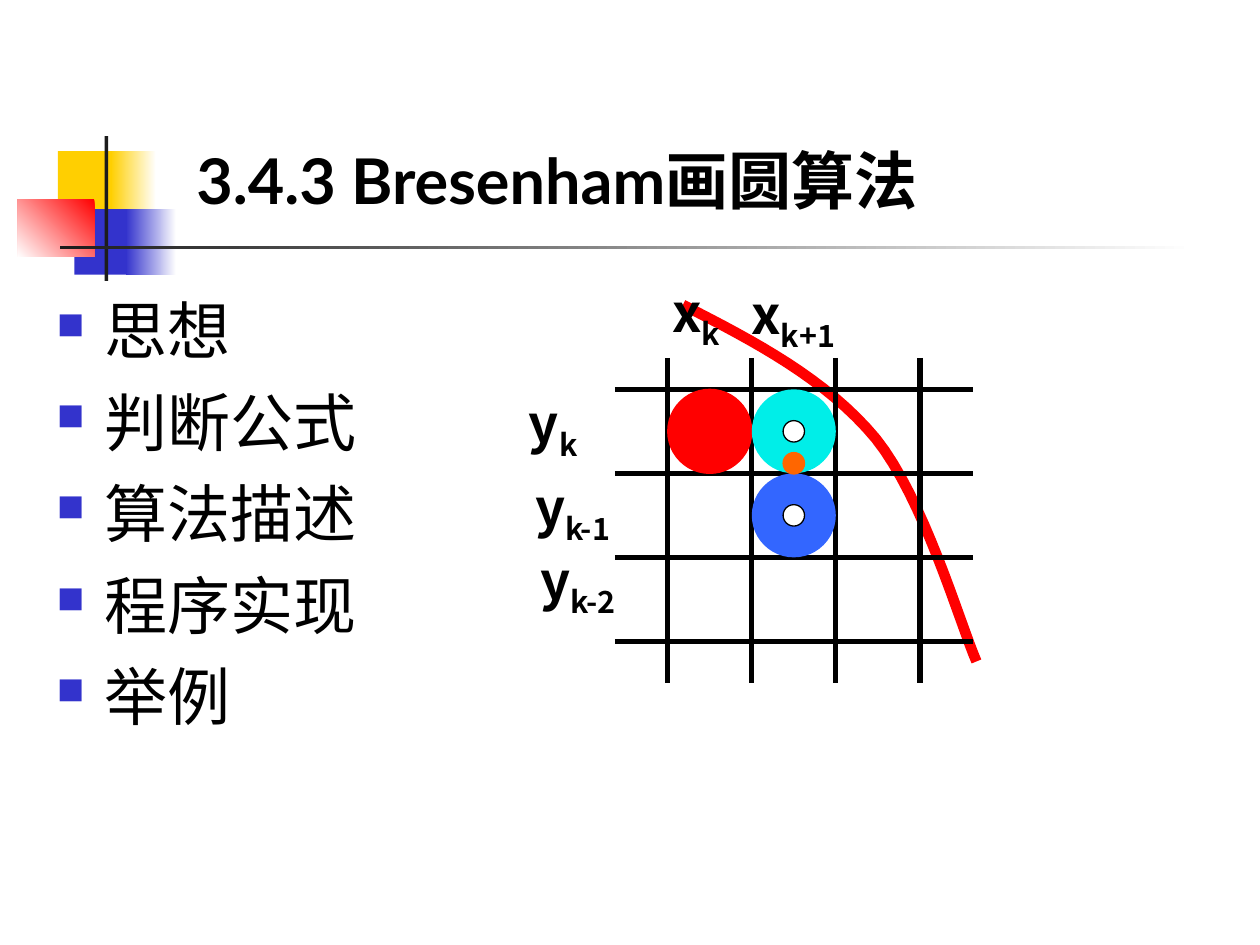
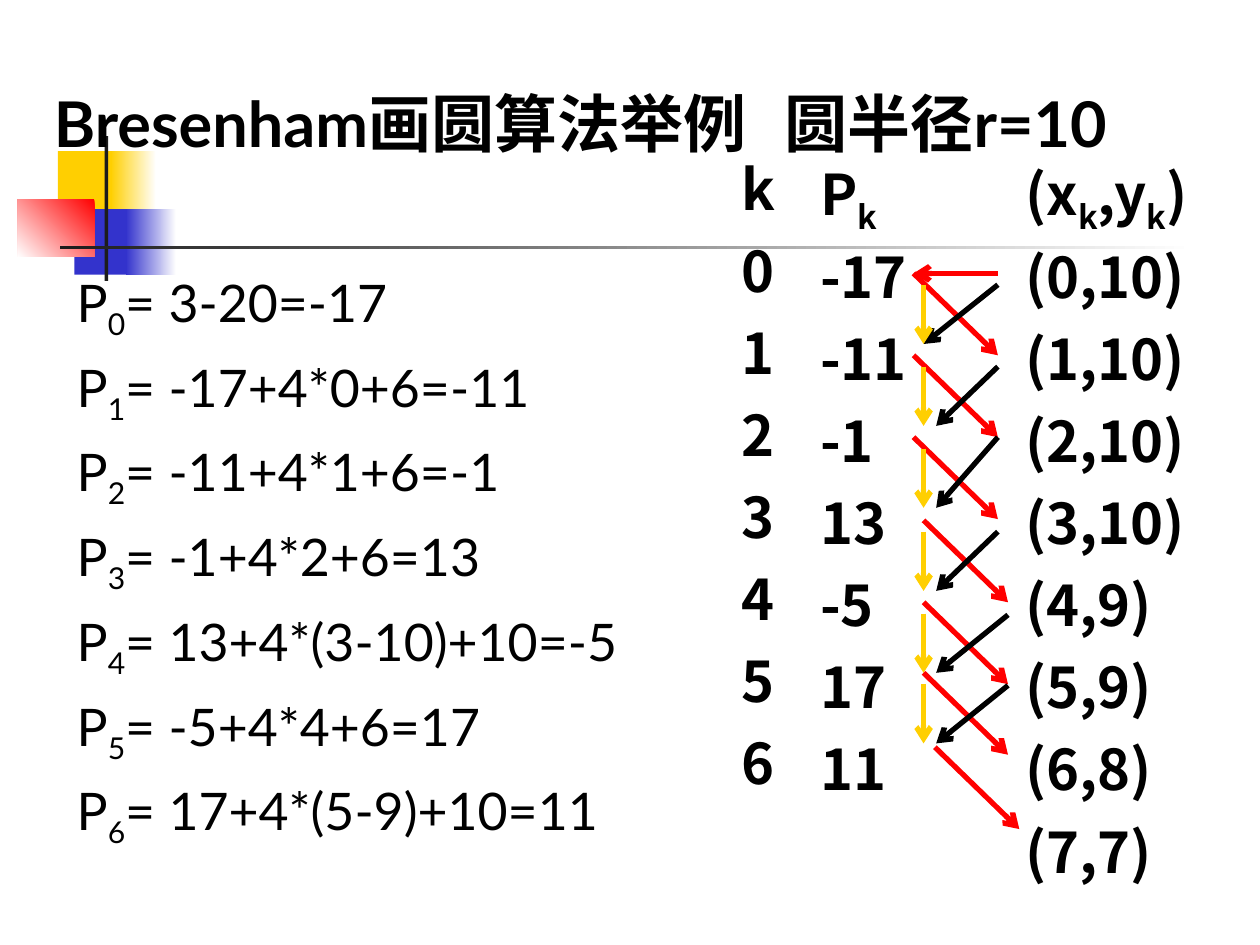
from lxml.etree import SubElement
from pptx import Presentation
from pptx.dml.color import RGBColor
from pptx.enum.shapes import MSO_CONNECTOR, MSO_SHAPE
from pptx.enum.text import MSO_ANCHOR, PP_ALIGN
from pptx.oxml.ns import qn
from pptx.util import Inches, Pt

BLACK = RGBColor(0x00, 0x00, 0x00)
WHITE = RGBColor(0xFF, 0xFF, 0xFF)
RED = RGBColor(0xFF, 0x00, 0x00)
YELLOW = RGBColor(0xFF, 0xCF, 0x01)
BLUE = RGBColor(0x33, 0x33, 0xCC)
CHARCOAL = RGBColor(0x1C, 0x1C, 0x1C)
CYAN = RGBColor(0x00, 0xEE, 0xE8)
SKY = RGBColor(0x33, 0x66, 0xFF)
ORANGE = RGBColor(0xFF, 0x66, 0x00)

LATO, MONTSERRAT, NOTO = "Lato", "Montserrat", "Noto Sans CJK SC"
TITLE_SIZE = 36
PADDING = (0.1, 0.05)

# left, top, width, height, colours (one, or gradient start and end), angle
BANDS = [
    (0.46, 1.2, 0.48, 0.52, [YELLOW], 0),
    (0.88, 1.2, 0.36, 0.52, [WHITE, YELLOW], 180),
    (0.59, 1.66, 0.46, 0.52, [BLUE], 0),
    (1, 1.66, 0.4, 0.52, [WHITE, BLUE], 180),
    (0.14, 1.58, 0.61, 0.46, [RED, WHITE], 225),
    (0.83, 1.08, 0.03, 1.15, [CHARCOAL], 0),
    (0.48, 1.95, 9, 0.03, [WHITE, CHARCOAL], 180),
]

# Text between tildes is subscript.
OUTLINE_TITLE = "3.4.3 Bresenham画圆算法"
OUTLINE = [("思想", LATO), ("判断公式", MONTSERRAT), ("算法描述", MONTSERRAT),
           ("程序实现", MONTSERRAT), ("举例", LATO)]
GRID_LABELS = [
    ("x~k~", (5.22, 2.22, 0.61, 0.57)),
    ("x~k+1~", (5.8, 2.24, 0.99, 0.57)),
    ("y~k~", (4.13, 3.1, 0.52, 0.57)),
    ("y~k-1~", (4.13, 3.77, 0.83, 0.57)),
    ("y~k-2~", (4.13, 4.32, 0.92, 0.63)),
]
GRID_LEFT, GRID_TOP, CELL = 5.3, 3.09, 0.667
# centre in cells from the grid's corner, diameter, fill, line
PIXELS = [
    (0.5, 0.5, CELL, RED, RED),
    (1.5, 0.5, CELL, CYAN, None),
    (1.5, 1.5, CELL, SKY, None),
    (1.5, 0.5, 0.17, WHITE, BLACK),
    (1.5, 1.5, 0.17, WHITE, BLACK),
    (1.5, 0.88, 0.17, ORANGE, ORANGE),
]
ARC_CURVES = [
    [(5.42, 2.42), (5.99, 2.71), (6.56, 3.01), (6.95, 3.48)],
    [(6.95, 3.48), (7.33, 3.95), (7.62, 4.95), (7.75, 5.25)],
]

EXAMPLE_TITLE = "Bresenham画圆算法举例\t圆半径r=10"
FORMULAS = ["3-20=-17", "-17+4*0+6=-11", "-11+4*1+6=-1", "-1+4*2+6=13",
            "13+4*(3-10)+10=-5", "-5+4*4+6=17", "17+4*(5-9)+10=11"]
COLUMNS = [
    ((5.79, 1.32, 0.47, 5.03), ["k", *"0123456"]),
    ((6.41, 1.32, 0.89, 5.74), ["P~k~", "-17", "-11", "-1", "13", "-5", "17", "11"]),
    ((8.04, 1.32, 1.49, 5.74), ["(x~k~,y~k~)", "(0,10)", "(1,10)", "(2,10)", "(3,10)",
                                "(4,9)", "(5,9)", "(6,8)", "(7,7)"]),
]
# row top, start of the red arrow, then start x, start y and end x of the black one
STEPS = [
    (2.17, 7.25, 7.92, 2.26, 7.33),
    (2.82, 7.25, 7.92, 2.91, 7.43),
    (3.47, 7.25, 7.92, 3.47, 7.43),
    (4.13, 7.33, 7.92, 4.22, 7.43),
    (4.78, 7.33, 8, 4.88, 7.43),
    (5.34, 7.33, 8, 5.44, 7.43),
]
LAST_RED = (7.42, 5.93)


def add_filled(slide, kind, box, colours, angle=0, line=None):
    shape = slide.shapes.add_shape(kind, *map(Inches, box))
    shape.shadow.inherit = False
    if len(colours) == 1:
        shape.fill.solid()
        shape.fill.fore_color.rgb = colours[0]
    else:
        shape.fill.gradient()
        shape.fill.gradient_angle = angle
        for stop, colour in zip(shape.fill.gradient_stops, colours):
            stop.color.rgb = colour
    if line is None:
        shape.line.fill.background()
    else:
        shape.line.color.rgb = line
        shape.line.width = Pt(0.75)


def add_line(slide, start, end, colour=BLACK, arrow=False):
    connector = slide.shapes.add_connector(
        MSO_CONNECTOR.STRAIGHT, *map(Inches, (*start, *end)))
    connector.line.color.rgb = colour
    connector.line.width = Pt(3)
    if arrow:
        SubElement(connector.line._get_or_add_ln(), qn("a:tailEnd"), type="arrow")
    SubElement(connector._element.spPr, qn("a:effectLst"))


def add_text_box(slide, box, anchor=MSO_ANCHOR.TOP, padding=PADDING, wrap=True):
    frame = slide.shapes.add_textbox(*map(Inches, box)).text_frame
    frame.word_wrap = wrap
    frame.vertical_anchor = anchor
    frame.margin_left = frame.margin_right = Inches(padding[0])
    frame.margin_top = frame.margin_bottom = Inches(padding[1])
    return frame


def add_paragraph(frame, text, size, font, bold=False, spacing=1.0, before=0):
    """Fill the empty first paragraph, or append one with space before it."""
    paragraph = frame.paragraphs[0]
    if paragraph.runs:
        paragraph = frame.add_paragraph()
        paragraph.space_before = Pt(before)
    paragraph.line_spacing = spacing
    for index, part in enumerate(text.split("~")):
        if part:
            run = paragraph.add_run()
            run.text = part
            if index % 2:
                run._r.get_or_add_rPr().set("baseline", "-25000")
    return paragraph, (size, font, bold)


def set_font(paragraph, style):
    size, name, bold = style
    font = paragraph.font
    font.size, font.bold = Pt(size), bold
    font.color.rgb = BLACK
    font.name = name
    SubElement(paragraph._p.pPr.find(qn("a:defRPr")), qn("a:ea"), typeface=name)


def add_square_bullet(paragraph):
    properties = paragraph._p.get_or_add_pPr()
    properties.set("marL", str(Inches(0.38)))
    properties.set("indent", str(-Inches(0.38)))
    colour = SubElement(properties, qn("a:buClr"))
    SubElement(colour, qn("a:srgbClr"), val=str(BLUE))
    SubElement(properties, qn("a:buSzPct"), val="60000")
    SubElement(properties, qn("a:buChar"), char="■")


def add_tab_stop(paragraph, position):
    tabs = SubElement(paragraph._p.get_or_add_pPr(), qn("a:tabLst"))
    SubElement(tabs, qn("a:tab"), pos=str(Inches(position)), algn="l")


def add_slide(presentation):
    slide = presentation.slides.add_slide(presentation.slide_layouts[6])
    for *box, colours, angle in BANDS:
        add_filled(slide, MSO_SHAPE.RECTANGLE, box, colours, angle)
    return slide


def add_title(slide, text, box, anchor, spacing=1.0, tab=None):
    frame = add_text_box(slide, box, anchor)
    paragraph, style = add_paragraph(frame, text, TITLE_SIZE, LATO, True, spacing)
    if tab:
        add_tab_stop(paragraph, tab)
    set_font(paragraph, style)


def add_arc(slide, steps=16):
    points = [ARC_CURVES[0][0]]
    for curve in ARC_CURVES:
        for step in range(1, steps + 1):
            t = step / steps
            weights = ((1 - t) ** 3, 3 * t * (1 - t) ** 2, 3 * t * t * (1 - t), t ** 3)
            points.append(tuple(sum(w * c for w, c in zip(weights, axis))
                                for axis in zip(*curve)))
    points = [(Inches(x), Inches(y)) for x, y in points]
    builder = slide.shapes.build_freeform(*points[0])
    builder.add_line_segments(points[1:], close=False)
    arc = builder.convert_to_shape()
    arc.shadow.inherit = False
    arc.fill.background()
    arc.line.color.rgb = RED
    arc.line.width = Pt(6)


def build_outline(presentation):
    slide = add_slide(presentation)
    add_title(slide, OUTLINE_TITLE, (1.46, 1.07, 7.09, 0.7), MSO_ANCHOR.MIDDLE)
    frame = add_text_box(slide, (0.35, 2.33, 3.08, 4))
    for index, (text, font) in enumerate(OUTLINE):
        spacing = 1.0 if index else 0.9
        paragraph, style = add_paragraph(frame, text, 36, font, False, spacing, 9)
        add_square_bullet(paragraph)
        set_font(paragraph, style)

    add_arc(slide)
    for index in range(4):
        y = GRID_TOP + index * CELL
        add_line(slide, (4.88, y), (7.72, y))
    for index in range(4):
        x = GRID_LEFT + index * CELL
        add_line(slide, (x, 2.84), (x, 5.42))
    for text, box in GRID_LABELS:
        frame = add_text_box(slide, box, MSO_ANCHOR.MIDDLE, (0, 0))
        paragraph, style = add_paragraph(frame, text, 30, NOTO, True)
        paragraph.alignment = PP_ALIGN.CENTER
        set_font(paragraph, style)
    for column, row, size, fill, line in PIXELS:
        left = GRID_LEFT + column * CELL - size / 2
        top = GRID_TOP + row * CELL - size / 2
        add_filled(slide, MSO_SHAPE.OVAL, (left, top, size, size), [fill], line=line)


def build_example(presentation):
    slide = add_slide(presentation)
    add_title(slide, EXAMPLE_TITLE, (0.33, 0.54, 9.34, 0.78), MSO_ANCHOR.BOTTOM, 1.2, 5.8)
    frame = add_text_box(slide, (0.51, 2.1, 5.28, 4.84))
    for index, formula in enumerate(FORMULAS):
        set_font(*add_paragraph(frame, f"P~{index}~= {formula}", 29.6, LATO, before=8))

    add_line(slide, (7.92, 2.17), (7.25, 2.17), RED, True)
    for top, red_x, black_x, black_y, black_end in STEPS:
        next_top = top + 0.56
        add_line(slide, (red_x, top), (red_x + 0.67, top + 0.65), RED, True)
        add_line(slide, (black_x, black_y), (black_end, next_top), BLACK, True)
        add_line(slide, (7.33, top + 0.09), (7.33, next_top), YELLOW, True)
    last_x, last_y = LAST_RED
    add_line(slide, LAST_RED, (last_x + 0.67, last_y + 0.65), RED, True)

    for box, entries in COLUMNS:
        frame = add_text_box(slide, box, wrap=False)
        for entry in entries:
            set_font(*add_paragraph(frame, entry, 32, NOTO, True, 0.7, 20))


def main():
    presentation = Presentation()
    presentation.slide_width = Inches(10)
    presentation.slide_height = Inches(7.5)
    build_outline(presentation)
    build_example(presentation)
    presentation.save("out.pptx")


if __name__ == "__main__":
    main()
